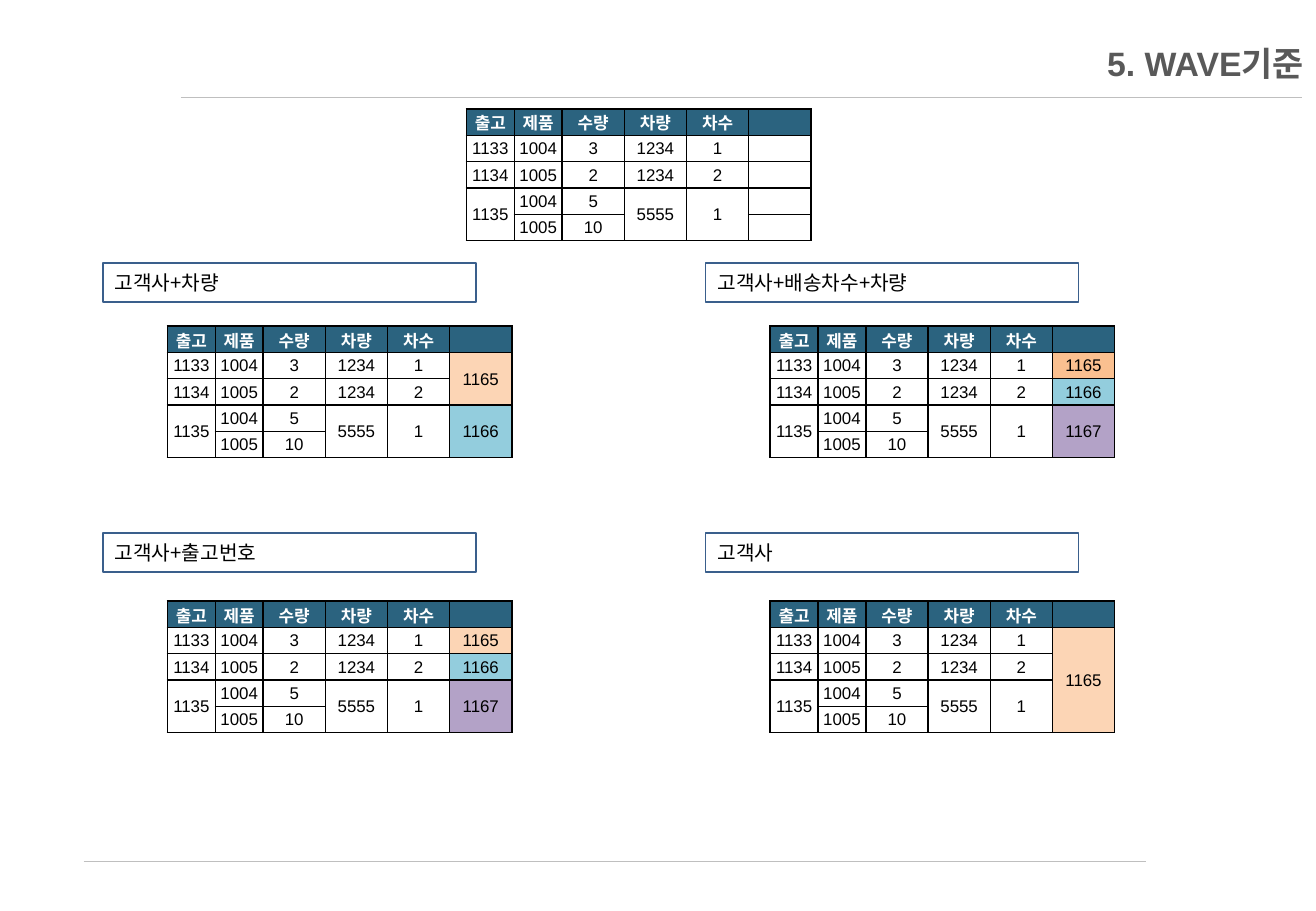
from dataclasses import dataclass

from lxml import etree
from pptx import Presentation
from pptx.dml.color import RGBColor
from pptx.enum.dml import MSO_LINE
from pptx.enum.shapes import MSO_CONNECTOR, MSO_SHAPE
from pptx.enum.text import MSO_ANCHOR, PP_ALIGN
from pptx.oxml.ns import qn
from pptx.util import Cm, Pt

LEFT, CENTER, RIGHT = PP_ALIGN.LEFT, PP_ALIGN.CENTER, PP_ALIGN.RIGHT
MIDDLE = MSO_ANCHOR.MIDDLE
STRAIGHT = MSO_CONNECTOR.STRAIGHT
RECTANGLE = MSO_SHAPE.RECTANGLE
DOTTED = MSO_LINE.ROUND_DOT


@dataclass(frozen=True)
class Theme:
    title: str = "595959"
    rule: str = "BFBFBF"
    header: str = "2B637F"
    label_border: str = "3A5F8C"
    black: str = "000000"
    white: str = "FFFFFF"
    peach: str = "FCD5B5"
    orange: str = "FAC090"
    blue: str = "93CDDD"
    purple: str = "B3A2C7"
    font: str = "Arial"
    label_font: str = "Noto Sans CJK KR"
    title_size: int = 20
    label_size: int = 12
    cell_size: int = 10


THEME = Theme()


def write_text(frame, text, *, size, color, font=THEME.font, bold=False, align=LEFT):
    para = frame.paragraphs[0]
    para.alignment = align
    if not text:
        para._p.get_or_add_endParaRPr().set("sz", str(size * 100))
        return
    span = para.add_run()
    span.text = text
    span.font.name = font
    span.font.size = Pt(size)
    span.font.bold = bold
    span.font.color.rgb = RGBColor.from_string(color)


def add_order_table(slide, left, top, waves):
    """Draw the order list; waves holds (first row, last row, number, fill) for the last column."""
    table = slide.shapes.add_table(
        len(ORDERS), len(COLUMN_WIDTHS), Cm(left), Cm(top),
        Cm(sum(COLUMN_WIDTHS)), Cm(ROW_HEIGHT * len(ORDERS))).table
    table.first_row = table.horz_banding = False
    for column, width in zip(table.columns, COLUMN_WIDTHS):
        column.width = Cm(width)
    for row in table.rows:
        row.height = Cm(ROW_HEIGHT)

    wave_column = len(COLUMN_WIDTHS) - 1
    wave_cells = {first: (number, fill) for first, last, number, fill in waves}
    for r, order in enumerate(ORDERS):
        for c in range(len(COLUMN_WIDTHS)):
            is_header = r == 0
            text, fill = order[c], THEME.header if is_header else None
            if c == wave_column and r in wave_cells:
                text, fill = wave_cells[r]
            cell = table.cell(r, c)
            cell.vertical_anchor = MIDDLE
            cell.margin_left = cell.margin_right = cell.margin_top = Cm(0.02)
            cell.margin_bottom = 0
            properties = cell._tc.get_or_add_tcPr()
            for side in ("a:lnL", "a:lnR", "a:lnT", "a:lnB"):
                border = etree.SubElement(properties, qn(side), w=str(Pt(1)))
                paint = etree.SubElement(border, qn("a:solidFill"))
                etree.SubElement(paint, qn("a:srgbClr"), val=THEME.black)
            if fill:
                cell.fill.solid()
                cell.fill.fore_color.rgb = RGBColor.from_string(fill)
            else:
                cell.fill.background()
            write_text(cell.text_frame, text, size=THEME.cell_size, bold=is_header,
                       color=THEME.white if is_header else THEME.black, align=CENTER)

    spans = [(3, 4, c) for c in (0, 3, 4)]
    spans += [(first, last, wave_column) for first, last, *_ in waves if last > first]
    for first, last, c in spans:
        table.cell(first, c).merge(table.cell(last, c))


COLUMN_WIDTHS = (1, 1, 1.3, 1.3, 1.3, 1.3)
ROW_HEIGHT = 0.55
ORDERS = [
    ("출고", "제품", "수량", "차량", "차수", ""),
    ("1133", "1004", "3", "1234", "1", ""),
    ("1134", "1005", "2", "1234", "2", ""),
    ("1135", "1004", "5", "5555", "1", ""),
    ("", "1005", "10", "", "", ""),
]
WAVE_RULES = [
    ("고객사+차량", [(1, 2, "1165", THEME.peach), (3, 4, "1166", THEME.blue)]),
    ("고객사+배송차수+차량", [(1, 1, "1165", THEME.orange), (2, 2, "1166", THEME.blue),
                      (3, 4, "1167", THEME.purple)]),
    ("고객사+출고번호", [(1, 1, "1165", THEME.peach), (2, 2, "1166", THEME.blue),
                  (3, 4, "1167", THEME.purple)]),
    ("고객사", [(1, 4, "1165", THEME.peach)]),
]

deck = Presentation()
deck.slide_width, deck.slide_height = Cm(27.51), Cm(19.05)
slide = deck.slides.add_slide(deck.slide_layouts[6])

for start, end, y in ((3.78, 27.2, 2.03), (1.75, 23.95, 18.01)):
    rule = slide.shapes.add_connector(STRAIGHT, Cm(start), Cm(y), Cm(end), Cm(y))
    rule.line.color.rgb = RGBColor.from_string(THEME.rule)
    rule.line.width = Pt(0.25)
    rule.line.dash_style = DOTTED
    etree.SubElement(rule._element.spPr, qn("a:effectLst"))

title = slide.shapes.add_textbox(Cm(2.75), Cm(0.74), Cm(24.76), Cm(1.14))
title.text_frame.word_wrap = True
title.text_frame.vertical_anchor = MIDDLE
write_text(title.text_frame, "5. WAVE기준", size=THEME.title_size, color=THEME.title,
           bold=True, align=RIGHT)

add_order_table(slide, 9.75, 2.28, [])

LABEL_TOPS, TABLE_TOPS = (5.5, 11.15), (6.82, 12.57)
COLUMN_STEP = 12.6
for index, (rule_name, waves) in enumerate(WAVE_RULES):
    line, side = divmod(index, 2)
    shift = side * COLUMN_STEP
    label = slide.shapes.add_shape(
        RECTANGLE, Cm(2.15 + shift), Cm(LABEL_TOPS[line]), Cm(7.8), Cm(0.82))
    label.shadow.inherit = False
    label.fill.background()
    label.line.color.rgb = RGBColor.from_string(THEME.label_border)
    label.line.width = Pt(1)
    label.text_frame.word_wrap = True
    label.text_frame.vertical_anchor = MIDDLE
    write_text(label.text_frame, rule_name, size=THEME.label_size, color=THEME.black,
               font=THEME.label_font)
    add_order_table(slide, 3.5 + shift, TABLE_TOPS[line], waves)

deck.save("out.pptx")
